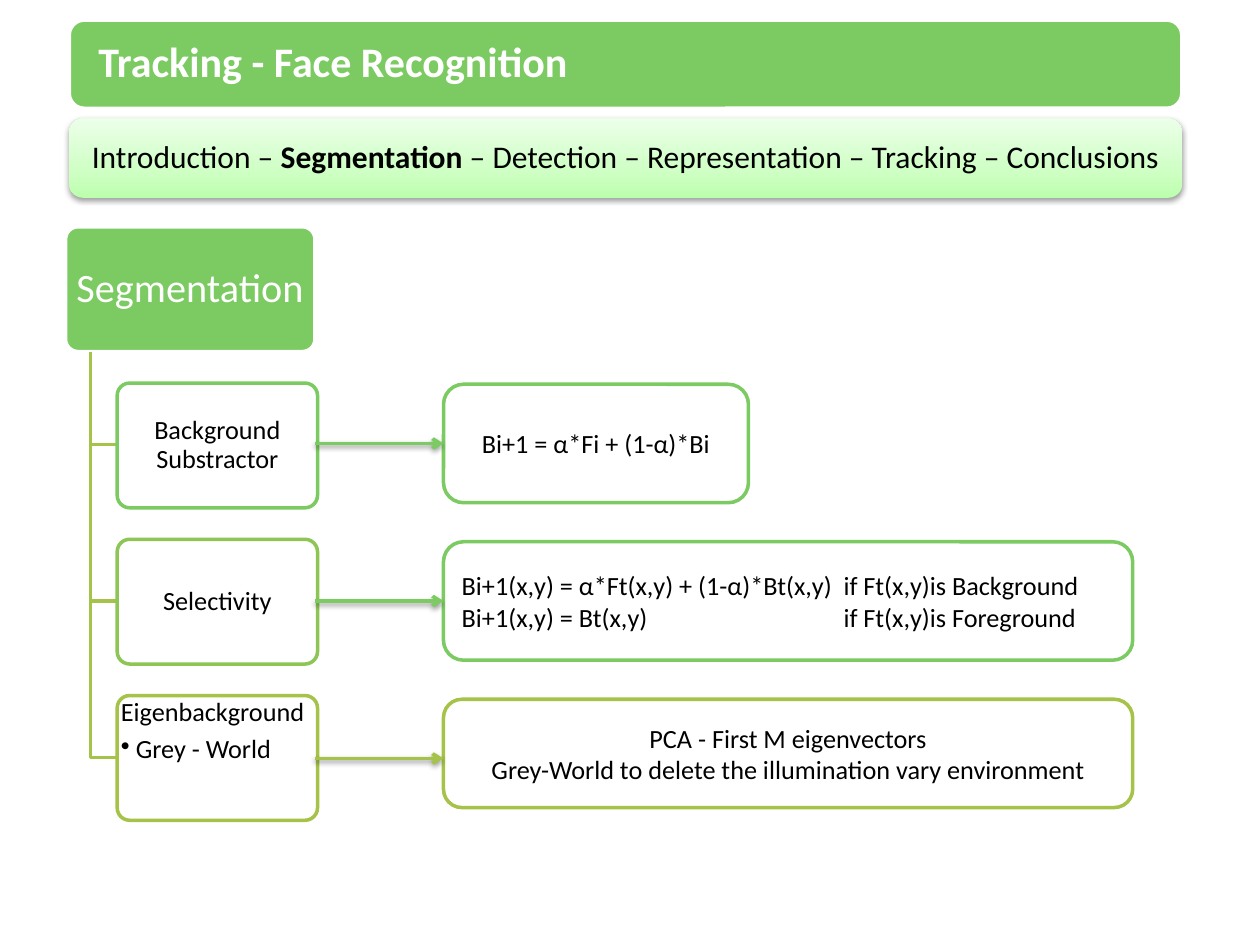
from lxml.etree import SubElement
from pptx import Presentation
from pptx.dml.color import RGBColor
from pptx.enum.shapes import MSO_CONNECTOR, MSO_SHAPE
from pptx.enum.text import MSO_ANCHOR, PP_ALIGN
from pptx.oxml import parse_xml
from pptx.oxml.ns import nsdecls, qn
from pptx.util import Inches, Pt

GREEN = RGBColor(0x7C, 0xCA, 0x62)
LIME = RGBColor(0x8E, 0xC6, 0x56)
OLIVE = RGBColor(0xA5, 0xC2, 0x49)
WHITE = RGBColor(0xFF, 0xFF, 0xFF)
BLACK = RGBColor(0, 0, 0)

SHADOW = f"""<a:effectLst {nsdecls('a')}>
<a:outerShdw blurRad="39370" dist="20320" dir="5400000" rotWithShape="0">
<a:srgbClr val="000000"><a:alpha val="38000"/></a:srgbClr></a:outerShdw></a:effectLst>"""
GRADIENT = f"""<a:gradFill {nsdecls('a')} rotWithShape="1"><a:gsLst>
<a:gs pos="0"><a:srgbClr val="BCFFAD"/></a:gs>
<a:gs pos="35000"><a:srgbClr val="CFFFC5"/></a:gs>
<a:gs pos="100000"><a:srgbClr val="ECFFE9"/></a:gs>
</a:gsLst><a:lin ang="16200000" scaled="0"/></a:gradFill>"""

prs = Presentation()
prs.slide_width, prs.slide_height = Inches(10), Inches(7.5)
slide = prs.slides.add_slide(prs.slide_layouts[5])
shapes = slide.shapes


def add_box(left, top, width, height, fill, line, rounding=0.17):
    box = shapes.add_shape(MSO_SHAPE.ROUNDED_RECTANGLE, Inches(left), Inches(top),
                           Inches(width), Inches(height))
    box.adjustments[0] = rounding
    box.shadow.inherit = False
    box.fill.solid()
    box.fill.fore_color.rgb = fill
    box.line.color.rgb = line
    box.line.width = Pt(2)
    return box


def write(shape, text, size, color=BLACK, align=PP_ALIGN.CENTER, inset=0.1, spacing=None):
    frame = shape.text_frame
    frame.word_wrap = True
    frame.vertical_anchor = MSO_ANCHOR.MIDDLE
    frame.margin_left = frame.margin_right = Inches(inset)
    frame.margin_top = frame.margin_bottom = Inches(min(inset, 0.05))
    frame.text = text
    for paragraph in frame.paragraphs:
        paragraph.alignment = align
        paragraph.line_spacing = spacing
        for run in paragraph.runs:
            run.font.size = Pt(size)
            run.font.name = "Calibri"
            run.font.color.rgb = color
    return frame


add_box(0.55, 0.16, 8.83, 0.7, GREEN, WHITE)
title = shapes.title
title.left, title.top, title.width, title.height = map(Inches, (0.63, 0.19, 8.67, 0.63))
heading = write(title, "Tracking - Face Recognition", 24, WHITE, PP_ALIGN.LEFT, 0.15, 0.9)
heading.paragraphs[0].runs[0].font.bold = True
shapes._spTree.append(title._element)

agenda = add_box(0.55, 0.94, 8.83, 0.63, WHITE, WHITE)
agenda.line.fill.background()
agenda_format = agenda._element.spPr
agenda_format.replace(agenda_format.find(qn("a:solidFill")), parse_xml(GRADIENT))
agenda_format.replace(agenda_format.find(qn("a:effectLst")), parse_xml(SHADOW))
agenda_line = write(agenda, "Introduction – ", 18, inset=0.08, spacing=0.9).paragraphs[0]
for section, bold in (("Segmentation", True),
                      (" – Detection – Representation – Tracking – Conclusions", False)):
    run = agenda_line.add_run()
    run.text = section
    run.font.size = Pt(18)
    run.font.name = "Calibri"
    run.font.color.rgb = BLACK
    run.font.bold = bold

root = add_box(0.52, 1.8, 1.98, 0.99, GREEN, WHITE, 0.1)
write(root, "Segmentation", 23, WHITE, inset=0.02, spacing=0.9)

methods = [
    ("Background Substractor", GREEN, "Bi+1 = α*Fi + (1-α)*Bi", GREEN, 3.05, 2.42, 0.94),
    ("Selectivity", LIME,
     "Bi+1(x,y) = α*Ft(x,y) + (1-α)*Bt(x,y)\tif Ft(x,y)is Background\n"
     "Bi+1(x,y) = Bt(x,y)\tif Ft(x,y)is Foreground", GREEN, 4.3, 5.47, 0.94),
    ("Eigenbackground\nGrey - World", OLIVE,
     "PCA - First M eigenvectors\n"
     "Grey-World to delete the illumination vary environment", OLIVE, 5.55, 5.47, 0.86),
]
for row, (method, edge, formula, accent, top, width, height) in enumerate(methods):
    method_top = 3.04 + 1.24 * row
    middle = method_top + 0.49

    outline = shapes.build_freeform(Inches(0.72), Inches(2.79))
    outline.add_line_segments([(Inches(0.72), Inches(middle)), (Inches(0.93), Inches(middle))],
                              close=False)
    branch = outline.convert_to_shape()
    branch.shadow.inherit = False
    branch.fill.background()
    branch.line.color.rgb = OLIVE
    branch.line.width = Pt(2)

    method_box = add_box(0.93, method_top, 1.59, 0.99, WHITE, edge, 0.1)
    method_text = write(method_box, method, 15, inset=0, spacing=0.9)
    if len(method_text.paragraphs) > 1:
        method_text.vertical_anchor = MSO_ANCHOR.TOP
        for paragraph in method_text.paragraphs:
            paragraph.alignment = PP_ALIGN.LEFT
        method_text.paragraphs[0].space_after = Pt(5)
        bullet = method_text.paragraphs[1]._p.get_or_add_pPr()
        bullet.set("marL", str(Inches(0.12)))
        bullet.set("indent", str(Inches(-0.12)))
        SubElement(bullet, qn("a:buChar")).set("char", "•")

    formula_box = add_box(3.52, top, width, height, WHITE, accent)
    formula_text = write(formula_box, formula, 15)
    if "\t" in formula:
        for paragraph in formula_text.paragraphs:
            paragraph.alignment = PP_ALIGN.LEFT
            tabs = SubElement(paragraph._p.get_or_add_pPr(), qn("a:tabLst"))
            stop = SubElement(tabs, qn("a:tab"))
            stop.set("pos", str(Inches(3.03)))
            stop.set("algn", "l")

    arrow_y = Inches(3.52 + 1.25 * row)
    arrow = shapes.add_connector(MSO_CONNECTOR.STRAIGHT, Inches(2.5), arrow_y,
                                 Inches(3.52), arrow_y)
    arrow.line.color.rgb = accent
    arrow.line.width = Pt(2)
    SubElement(arrow.line._get_or_add_ln(), qn("a:tailEnd")).set("type", "arrow")
    arrow._element.spPr.append(parse_xml(SHADOW))

prs.save("out.pptx")
